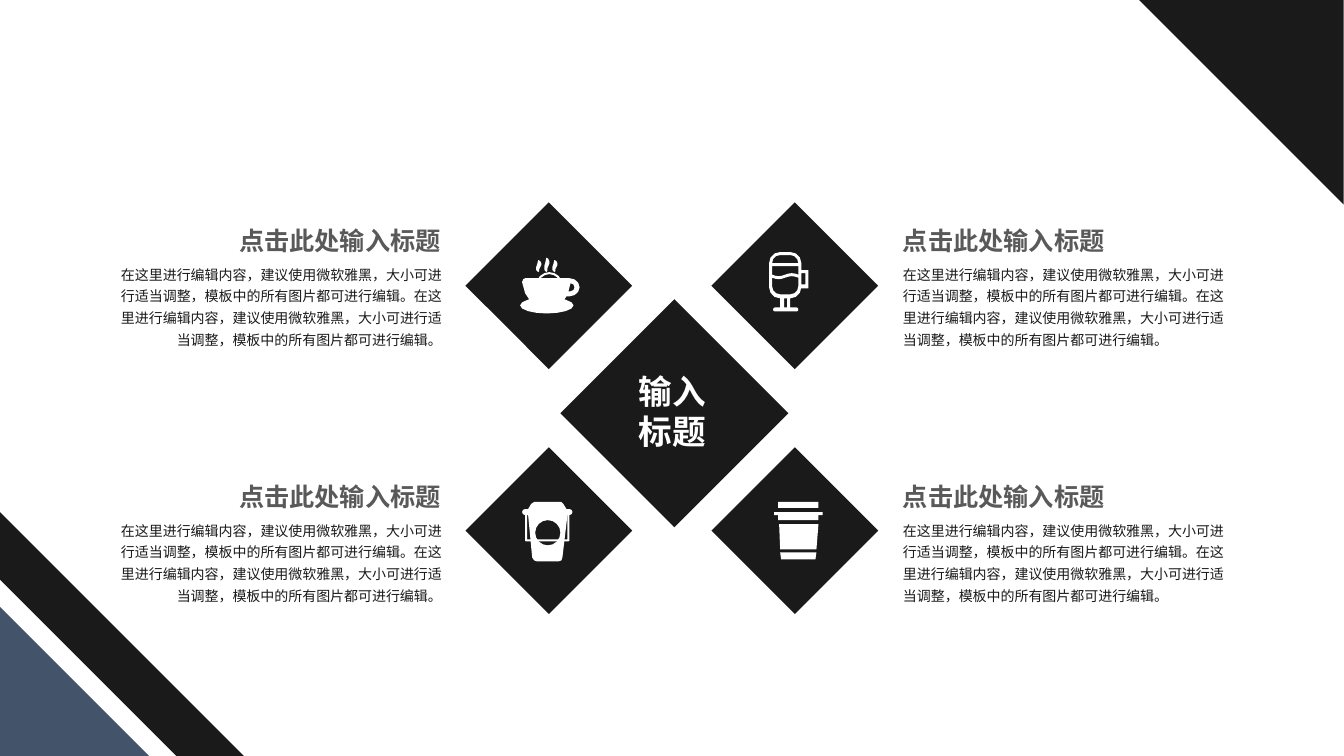
from math import cos, radians, sin

from lxml.etree import SubElement
from pptx import Presentation
from pptx.dml.color import RGBColor
from pptx.enum.shapes import MSO_SHAPE as Preset
from pptx.enum.text import MSO_AUTO_SIZE as AutoSize, PP_ALIGN as Align
from pptx.oxml.ns import qn
from pptx.util import Inches, Pt

FONT = "Noto Sans CJK SC"
BLACK = RGBColor(0x1A, 0x1A, 0x1A)
GRAY = RGBColor(0x59, 0x59, 0x59)
WHITE = RGBColor(0xFF, 0xFF, 0xFF)
SLATE = RGBColor(0x43, 0x53, 0x6A)

HEADING = "点击此处输入标题"
SENTENCE = "在这里进行编辑内容，建议使用微软雅黑，大小可进行适当调整，模板中的所有图片都可进行编辑。"


def arc(x, y, radius_x, radius_y, start, end, steps=4):
    """Return points along an elliptical arc, clockwise, in degrees."""
    angles = [radians(start + (end - start) * i / steps) for i in range(steps + 1)]
    return [(x + radius_x * cos(a), y + radius_y * sin(a)) for a in angles]


def circle(x, y, radius):
    return arc(x, y, radius, radius, 0, 360, 16)[:-1]


def corner(x, y, radius, start):
    return arc(x, y, radius, radius, start, start + 90, 3) if radius else [(x, y)]


def box(left, top, right, bottom, upper=0, lower=0):
    """Return a rectangle whose upper and lower corners have the given radii."""
    return (corner(left + upper, top + upper, upper, 180)
            + corner(right - upper, top + upper, upper, 270)
            + corner(right - lower, bottom - lower, lower, 0)
            + corner(left + lower, bottom - lower, lower, 90))


def wave(y):
    """Return the drink's surface from the left wall of the glass to the right."""
    return [(7.66 + 0.26 * i / 8, y + 0.015 * sin(radians(45 * i))) for i in range(9)]


def coffee_cup():
    cup = ([(5.21, 2.76)] + arc(5.65, 2.85, 0.1, 0.09, -90, 90, 6)
           + [(5.62, 2.94), (5.6, 2.97)]
           + arc(5.425, 3.03, 0.265, 0.08, -45, 225, 12)
           + [(5.25, 2.97), (5.21, 2.91), (5.18, 2.8), (5.19, 2.77)])
    handle_hole = arc(5.66, 2.85, 0.04, 0.04, -90, 90) + [(5.64, 2.89)]
    wisp = [(5.34, 2.58), (5.36, 2.59), (5.37, 2.61), (5.37, 2.63), (5.35, 2.67),
            (5.35, 2.69), (5.34, 2.7), (5.32, 2.68), (5.32, 2.65), (5.33, 2.62)]
    steam = [[(x + shift, 2.7 - (2.7 - y) * stretch) for x, y in wisp]
             for shift, stretch in ((0, 1), (0.08, 1.2), (0.16, 1))]
    rim = [circle(5.45, 2.83, 0.13), circle(5.45, 2.83, 0.11)]
    return [[cup, handle_hole, *steam], rim]


def beer_glass():
    wall = box(7.63, 2.5, 7.95, 2.96, 0.11, 0.11)
    foam = box(7.66, 2.53, 7.92, 2.61, 0.08)
    air = [(7.66, 2.64)] + wave(2.725) + [(7.92, 2.64)]
    drink = wave(2.755) + corner(7.84, 2.84, 0.08, 0) + corner(7.74, 2.84, 0.08, 90)
    handle = [box(7.95, 2.68, 8.02, 2.86), box(7.95, 2.71, 7.99, 2.82)]
    stem = [box(7.74, 2.96, 7.84, 3.05), box(7.78, 2.96, 7.81, 3.05)]
    foot = box(7.67, 3.05, 7.92, 3.09, 0.02, 0.02)
    return [[wall, foam, air, drink, *handle, *stem, foot]]


def ice_bucket():
    frame = [box(5.21, 5.08, 5.65, 5.37, 0.01, 0.01), box(5.23, 5.09, 5.63, 5.35)]
    pail = ([(5.27, 5), (5.3, 4.98), (5.57, 4.98), (5.59, 5), (5.62, 5.05)]
            + arc(5.65, 5.08, 0.03, 0.03, -90, 90)
            + [(5.63, 5.11), (5.58, 5.53), (5.57, 5.56), (5.54, 5.57),
               (5.33, 5.57), (5.3, 5.56), (5.28, 5.53), (5.24, 5.11)]
            + arc(5.21, 5.08, 0.03, 0.03, 90, 270) + [(5.24, 5.05)])
    return [frame, [pail, circle(5.435, 5.285, 0.125)]]


def paper_cup():
    base = [(7.74, 5.48), (8.1, 5.48), (8.09, 5.55), (7.75, 5.55)]
    sleeve = [(7.73, 5.2), (8.12, 5.2), (8.1, 5.45), (7.74, 5.45)]
    rim = [(7.68, 5.08), (8.16, 5.08), (8.16, 5.11), (8.12, 5.11),
           (8.12, 5.16), (7.72, 5.16), (7.72, 5.11), (7.68, 5.11)]
    lid = box(7.72, 4.98, 8.12, 5.04)
    return [[base, sleeve, rim, lid]]


class SlideBuilder:
    def __init__(self, slide):
        self.slide = slide
        self.shapes = slide.shapes

    def paint(self, shape, color):
        shape.shadow.inherit = False
        shape.fill.solid()
        shape.fill.fore_color.rgb = color
        shape.line.fill.background()

    def preset(self, kind, left, top, width, height, color, rotation=0):
        shape = self.shapes.add_shape(
            kind, Inches(left), Inches(top), Inches(width), Inches(height))
        shape.rotation = rotation
        self.paint(shape, color)
        return shape

    def outline(self, contours, color):
        """Draw closed contours as one shape; inner contours become holes."""
        builder = None
        for contour in contours:
            points = [(Inches(x), Inches(y)) for x, y in contour]
            if builder is None:
                builder = self.shapes.build_freeform(*points[0])
            else:
                builder.move_to(*points[0])
            builder.add_line_segments(points[1:], close=True)
        self.paint(builder.convert_to_shape(), color)

    def run(self, paragraph, text, size, color, bold=False):
        run = paragraph.add_run()
        run.text = text
        font = run.font
        font.name, font.size, font.bold = FONT, Pt(size), bold
        font.color.rgb = color
        SubElement(run._r.get_or_add_rPr(), qn("a:ea")).set("typeface", FONT)

    def text(self, left, top, width, height, content, size, color, align,
             bold=False, spacing=None):
        shape = self.shapes.add_textbox(
            Inches(left), Inches(top), Inches(width), Inches(height))
        frame = shape.text_frame
        frame.word_wrap = True
        frame.auto_size = AutoSize.SHAPE_TO_FIT_TEXT
        paragraph = frame.paragraphs[0]
        paragraph.alignment = align
        paragraph.line_spacing = spacing
        self.run(paragraph, content, size, color, bold)

    def label(self, left, top, width, height, lines):
        frame = self.preset(Preset.RECTANGLE, left, top, width, height, BLACK).text_frame
        frame.word_wrap = False
        frame.auto_size = AutoSize.SHAPE_TO_FIT_TEXT
        for index, line in enumerate(lines):
            paragraph = frame.add_paragraph() if index else frame.paragraphs[0]
            paragraph.alignment = Align.CENTER
            self.run(paragraph, line, 24, WHITE, bold=True)


def main():
    presentation = Presentation()
    presentation.slide_width, presentation.slide_height = Inches(40 / 3), Inches(7.5)
    builder = SlideBuilder(presentation.slides.add_slide(presentation.slide_layouts[6]))

    columns = (  # diamond left, heading left, body left, alignment
        (4.86, 1.97, 1.07, Align.RIGHT),
        (7.3, 8.86, 8.86, Align.LEFT),
    )
    rows = (  # diamond top, heading top, icons
        (2.25, 2.19, (coffee_cup, beer_glass)),
        (4.68, 4.73, (ice_bucket, paper_cup)),
    )
    for diamond_top, heading_top, icons in rows:
        for (diamond_left, heading_left, body_left, align), icon in zip(columns, icons):
            builder.preset(Preset.RECTANGLE, diamond_left, diamond_top, 1.17, 1.17, BLACK, 45)
            for contours in icon():
                builder.outline(contours, WHITE)
            builder.text(heading_left, heading_top, 2.5, 0.4, HEADING, 18, GRAY, align, bold=True)
            builder.text(body_left, heading_top + 0.35, 3.41, 0.95, SENTENCE * 2, 10, BLACK,
                         align, spacing=1.3)

    builder.preset(Preset.RECTANGLE, 5.89, 3.3, 1.6, 1.6, BLACK, 45)
    builder.label(6.23, 3.62, 0.88, 0.91, ("输入", "标题"))

    builder.outline([[(0, 5.08), (0, 5.75), (1.75, 7.5), (2.42, 7.5)]], BLACK)
    builder.preset(Preset.RIGHT_TRIANGLE, 11.3, 0, 2.03, 2.03, BLACK, 180)
    builder.preset(Preset.RIGHT_TRIANGLE, 0, 6.02, 1.48, 1.48, SLATE)
    presentation.save("out.pptx")


if __name__ == "__main__":
    main()
